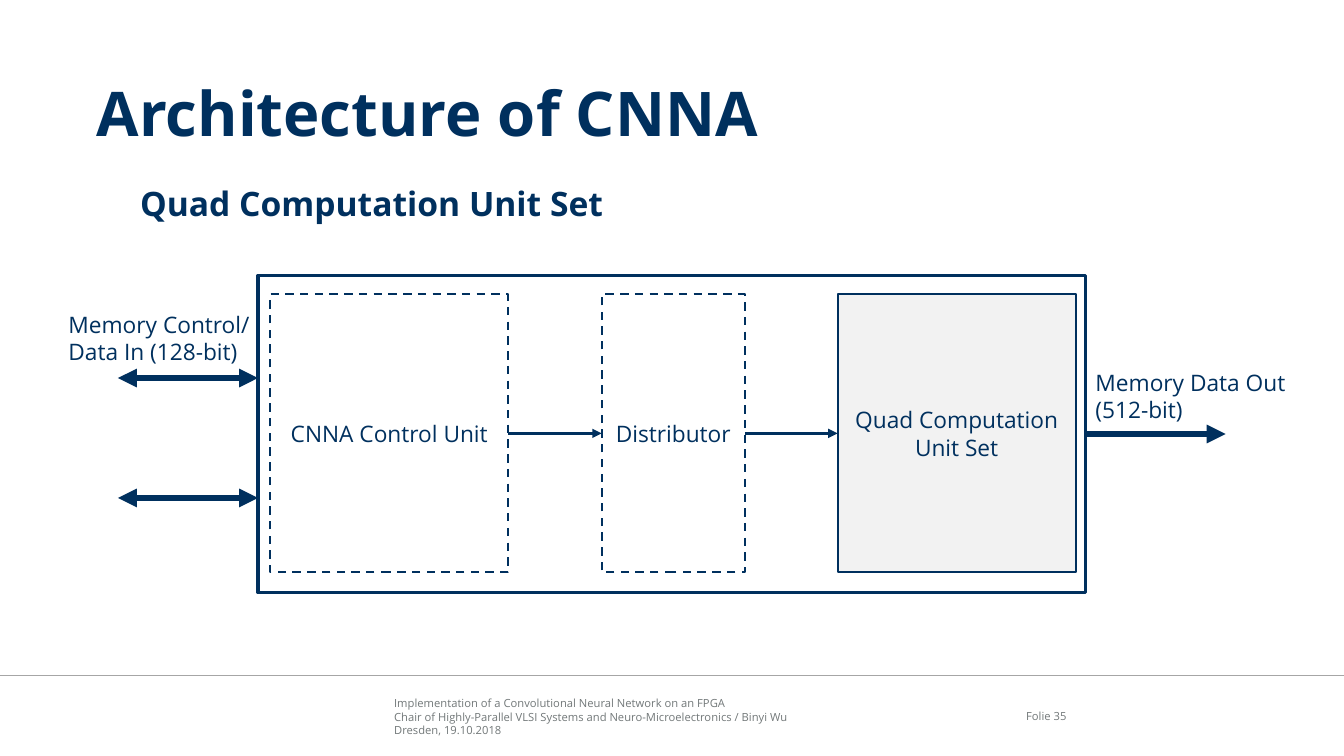
"""Build the CNNA architecture slide with its block diagram."""
from lxml import etree
from pptx import Presentation, util as u
from pptx.dml.color import RGBColor
from pptx.enum import dml, shapes, text
from pptx.oxml.ns import qn

Pt = u.Pt
NAVY = RGBColor(0x00, 0x30, 0x5E)
GREY = RGBColor(0x72, 0x78, 0x79)
RULE = RGBColor(0xA6, 0xA6, 0xA6)
WHITE = RGBColor(0xFF, 0xFF, 0xFF)
PALE = RGBColor(0xF2, 0xF2, 0xF2)
FONT = "Open Sans"
LABEL_SIZE = 16.2
WIDTH, HEIGHT = 960, 540

HEADINGS = [
    ("Architecture of CNNA", (69.1, 27.4, 833, 80), 44),
    ("Quad Computation Unit Set", (100.1, 116.6, 802, 45), 24),
]
FOOTER = [
    "Implementation of a Convolutional Neural Network on an FPGA",
    "Chair of Highly-Parallel VLSI Systems and Neuro-Microelectronics / Binyi Wu",
    "Dresden, 19.10.2018",
]
PORT_LABELS = [
    (["Memory Control/", "Data In (128-bit)"], (41.8, 218.2, 144, 46.8)),
    (["Memory Data Out", "(512-bit)"], (775.4, 259.9, 152.6, 46.8)),
]
UNIT_TOP, UNIT_HEIGHT = 210.2, 198.7
UNITS = [
    ("CNNA Control Unit", 193, 170, None, True),
    ("Distributor", 429.8, 102.2, WHITE, True),
    ("Quad Computation Unit Set", 598.3, 170, PALE, False),
]
FRAME = (184.3, 196.6, 591.1, 226.8)
PORT_LENGTH = 100
INPUT_LEVELS = [355.7, 270]

presentation = Presentation()
presentation.slide_width, presentation.slide_height = Pt(WIDTH), Pt(HEIGHT)
slide = presentation.slides.add_slide(presentation.slide_layouts[6])


def write(shape, lines, size, color=NAVY, bold=False, align=text.PP_ALIGN.LEFT, spacing=None):
    frame = shape.text_frame
    frame.word_wrap = True
    frame.text = "\n".join(lines)
    for paragraph in frame.paragraphs:
        paragraph.alignment = align
        paragraph.line_spacing = spacing
        font = paragraph.font
        font.name, font.size, font.bold = FONT, Pt(size), bold
        font.color.rgb = color
    return frame


def add_text(lines, box, size, inset=True, anchor=text.MSO_ANCHOR.TOP, **style):
    textbox = slide.shapes.add_textbox(*map(Pt, box))
    frame = write(textbox, lines, size, **style)
    frame.vertical_anchor = anchor
    frame.margin_right = 0
    if not inset:
        frame.margin_left = frame.margin_top = frame.margin_bottom = 0


def add_box(box, line_width, fill=None, dashed=False):
    shape = slide.shapes.add_shape(shapes.MSO_SHAPE.RECTANGLE, *map(Pt, box))
    shape.shadow.inherit = False
    if fill is None:
        shape.fill.background()
    else:
        shape.fill.solid()
        shape.fill.fore_color.rgb = fill
    shape.line.color.rgb = NAVY
    shape.line.width = Pt(line_width)
    if dashed:
        shape.line.dash_style = dml.MSO_LINE.DASH
    return shape


def add_line(start, end, width, color=NAVY, arrows=()):
    connector = slide.shapes.add_connector(
        shapes.MSO_CONNECTOR.STRAIGHT, *map(Pt, (*start, *end)))
    connector.line.color.rgb = color
    connector.line.width = Pt(width)
    outline = connector.line._get_or_add_ln()
    for arrow in arrows:
        etree.SubElement(outline, qn(f"a:{arrow}"), type="triangle")
    etree.SubElement(connector._element.spPr, qn("a:effectLst"))
    return connector


add_text(FOOTER, (281.5, 497.5, 408, 28.8), 8, inset=False,
         anchor=text.MSO_ANCHOR.BOTTOM, color=GREY)
add_line((0, 482.4), (WIDTH, 482.4), 1, RULE)
add_text(["Folie 35"], (706.3, 506.8, 55.5, 9.8), 8, inset=False,
         color=GREY, align=text.PP_ALIGN.RIGHT)

for heading, box, size in HEADINGS:
    add_text([heading], box, size, inset=False, bold=True, spacing=1.5)

units = []
for name, left, width, fill, dashed in UNITS:
    unit = add_box((left, UNIT_TOP, width, UNIT_HEIGHT), 1.5, fill, dashed)
    write(unit, [name], LABEL_SIZE, align=text.PP_ALIGN.CENTER)
    unit.text_frame.vertical_anchor = text.MSO_ANCHOR.MIDDLE
    units.append(unit)
accelerator = add_box(FRAME, 2.25)

unit_middle = UNIT_TOP + UNIT_HEIGHT / 2
for (source, target), (_, left, width, *_) , (_, next_left, *_) in zip(
        zip(units, units[1:]), UNITS, UNITS[1:]):
    flow = add_line((left + width, unit_middle), (next_left, unit_middle), 2.25,
                    arrows=["tailEnd"])
    flow.begin_connect(source, 3)
    flow.end_connect(target, 1)

frame_left, frame_top, frame_width, frame_height = FRAME
for level in INPUT_LEVELS:
    add_line((frame_left, level), (frame_left - PORT_LENGTH, level), 4.5,
             arrows=["headEnd", "tailEnd"])
frame_right, frame_middle = frame_left + frame_width, frame_top + frame_height / 2
output = add_line((frame_right, frame_middle), (frame_right + PORT_LENGTH, frame_middle),
                  4.5, arrows=["tailEnd"])
output.begin_connect(accelerator, 3)

for lines, box in PORT_LABELS:
    add_text(lines, box, LABEL_SIZE)

presentation.save("out.pptx")
